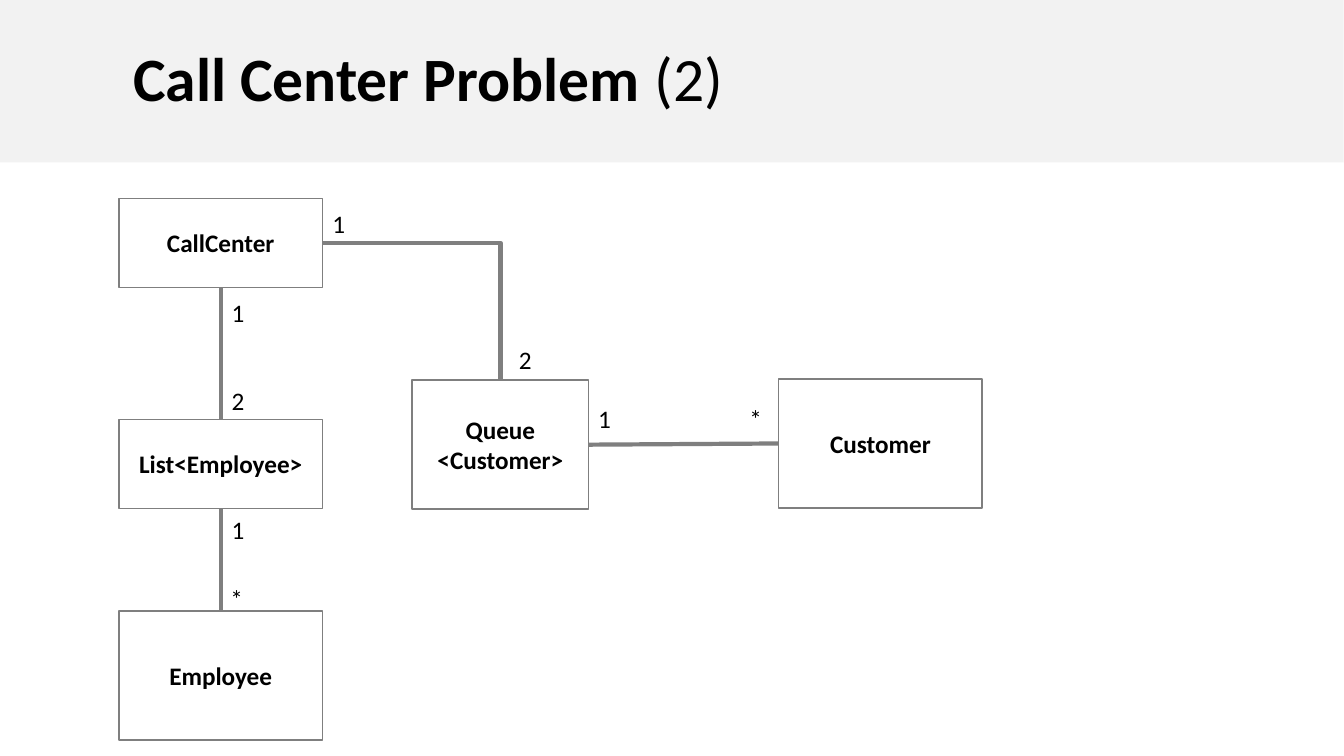
from dataclasses import dataclass

from lxml.etree import SubElement
from pptx import Presentation
from pptx.dml.color import RGBColor
from pptx.enum.shapes import MSO_CONNECTOR, MSO_SHAPE
from pptx.enum.text import MSO_ANCHOR, MSO_AUTO_SIZE, PP_ALIGN
from pptx.oxml.ns import qn
from pptx.util import Cm, Pt

# Connection sites of a rectangle
TOP, LEFT, BOTTOM, RIGHT = range(4)


@dataclass(frozen=True)
class Theme:
    font: str = "Calibri"
    ink: RGBColor = RGBColor(0x00, 0x00, 0x00)
    paper: RGBColor = RGBColor(0xFF, 0xFF, 0xFF)
    band: RGBColor = RGBColor(0xF2, 0xF2, 0xF2)
    line: RGBColor = RGBColor(0x7F, 0x7F, 0x7F)
    title_size: Pt = Pt(44)
    body_size: Pt = Pt(18)
    border: Pt = Pt(1)
    link: Pt = Pt(3)


class ClassDiagram:
    def __init__(self, page, theme):
        self.page = page
        self.theme = theme

    def add_span(self, para, text, size, bold=False):
        span = para.add_run()
        span.text = text
        span.font.name = self.theme.font
        span.font.size = size
        span.font.bold = bold
        span.font.color.rgb = self.theme.ink

    def title(self, spans, width, height, indent):
        title = self.page.shapes.title
        title.left, title.top = Cm(0), Cm(0)
        title.width, title.height = Cm(width), Cm(height)
        title.fill.solid()
        title.fill.fore_color.rgb = self.theme.band
        frame = title.text_frame
        frame.auto_size = MSO_AUTO_SIZE.NONE
        frame.vertical_anchor = MSO_ANCHOR.MIDDLE
        frame.margin_left = Cm(indent)
        para = frame.paragraphs[0]
        para.alignment = PP_ALIGN.LEFT
        para.line_spacing = 0.9
        for text, bold in spans:
            self.add_span(para, text, self.theme.title_size, bold)

    def class_box(self, lines, left, top, width, height):
        box = self.page.shapes.add_shape(
            MSO_SHAPE.RECTANGLE, Cm(left), Cm(top), Cm(width), Cm(height))
        box.shadow.inherit = False
        box.fill.solid()
        box.fill.fore_color.rgb = self.theme.paper
        box.line.color.rgb = self.theme.line
        box.line.width = self.theme.border
        frame = box.text_frame
        frame.word_wrap = True
        frame.vertical_anchor = MSO_ANCHOR.MIDDLE
        for index, text in enumerate(lines):
            para = frame.add_paragraph() if index else frame.paragraphs[0]
            para.alignment = PP_ALIGN.CENTER
            self.add_span(para, text, self.theme.body_size, bold=True)
        return box

    def link(self, start, start_site, end, end_site, bent=False):
        kind = MSO_CONNECTOR.ELBOW if bent else MSO_CONNECTOR.STRAIGHT
        link = self.page.shapes.add_connector(kind, 0, 0, 0, 0)
        link.begin_connect(start, start_site)
        link.end_connect(end, end_site)
        link.line.color.rgb = self.theme.line
        link.line.width = self.theme.link
        properties = link._element.spPr
        SubElement(properties, qn("a:effectLst"))
        if bent:  # one corner only
            properties.find(qn("a:prstGeom")).set("prst", "bentConnector2")

    def multiplicity(self, text, left, top):
        box = self.page.shapes.add_textbox(Cm(left), Cm(top), Cm(0.81), Cm(1.02))
        frame = box.text_frame
        frame.word_wrap = False
        frame.auto_size = MSO_AUTO_SIZE.SHAPE_TO_FIT_TEXT
        self.add_span(frame.paragraphs[0], text, self.theme.body_size)


def main():
    deck = Presentation()
    deck.slide_width, deck.slide_height = Cm(33.88), Cm(19.05)
    page = deck.slides.add_slide(deck.slide_layouts[5])
    diagram = ClassDiagram(page, Theme())

    # Title band
    diagram.title([("Call Center Problem ", True), ("(2)", False)],
                  width=33.87, height=4.09, indent=3.36)

    # Classes
    column, wide, low, tall = 3, 5.13, 2.24, 3.25
    call_center = diagram.class_box(["CallCenter"], column, 5, wide, low)
    employees = diagram.class_box(["List<Employee>"], column, 10.57, wide, low)
    employee = diagram.class_box(["Employee"], column, 15.4, wide, tall)
    queue = diagram.class_box(["Queue", "<Customer>"], 10.39, 9.58, 4.45, tall)
    customer = diagram.class_box(["Customer"], 19.63, 9.55, wide, tall)

    # Associations
    diagram.link(call_center, BOTTOM, employees, TOP)
    diagram.link(employees, BOTTOM, employee, TOP)
    diagram.link(call_center, RIGHT, queue, TOP, bent=True)
    diagram.link(customer, LEFT, queue, RIGHT)

    # Multiplicities
    for text, left, top in [
        ("1", 5.59, 7.37), ("2", 5.59, 9.58),
        ("1", 5.59, 12.83), ("*", 5.56, 14.58),
        ("1", 8.13, 5.13), ("2", 12.83, 8.56),
        ("1", 14.83, 10.03), ("*", 18.64, 10.03),
    ]:
        diagram.multiplicity(text, left, top)

    deck.save("out.pptx")


if __name__ == "__main__":
    main()
